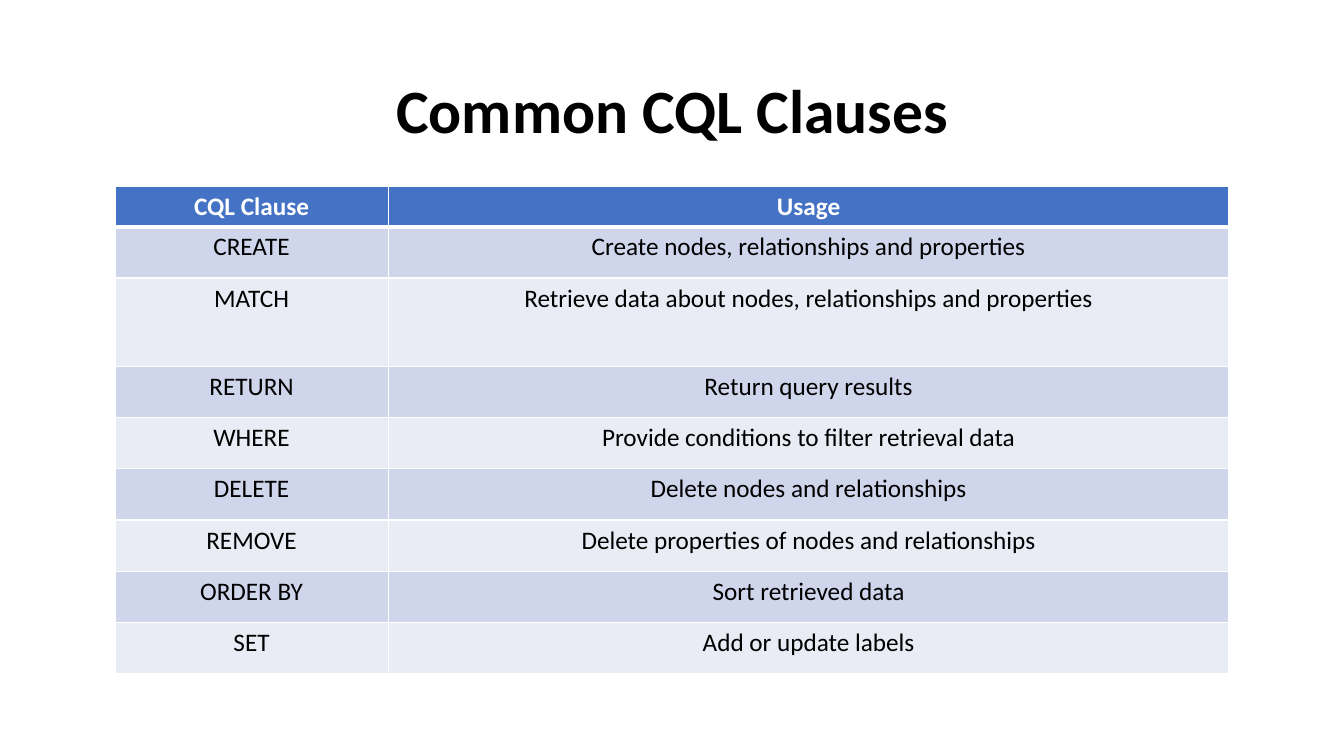
import pptx
import pptx.util
import pptx.dml.color
import pptx.enum.text
import pptx.oxml.ns
from lxml import etree
from pptx.util import Inches

FONT = "Calibri"
COLORS = {
    "text": "000000",
    "header": "4472C4",
    "odd": "CFD5EA",
    "even": "E9EBF5",
    "white": "FFFFFF",
}
CLAUSES = [
    ("CQL Clause", "Usage"),
    ("CREATE", "Create nodes, relationships and properties"),
    ("MATCH", "Retrieve data about nodes, relationships and properties"),
    ("RETURN", "Return query results"),
    ("WHERE", "Provide conditions to filter retrieval data"),
    ("DELETE", "Delete nodes and relationships"),
    ("REMOVE", "Delete properties of nodes and relationships"),
    ("ORDER BY", "Sort retrieved data"),
    ("SET", "Add or update labels"),
]
CLAUSE_WIDTH = 2.71
HEADER_HEIGHT = 0.4
MATCH_HEIGHT = 0.88


def rgb(name):
    return pptx.dml.color.RGBColor.from_string(COLORS[name])


def write(tf, text, size, color, bold):
    """Put one centred run into the first paragraph of a text frame."""
    p = tf.paragraphs[0]
    p.alignment = pptx.enum.text.PP_ALIGN.CENTER
    r = p.add_run()
    r.text = text
    r.font.name = FONT
    r.font.size = pptx.util.Pt(size)
    r.font.bold = bold
    r.font.color.rgb = rgb(color)
    return p


def add_borders(cell, bottom=1, top=1):
    """Draw white cell borders; widths are in points."""
    qn = pptx.oxml.ns.qn
    tc_pr = cell._tc.get_or_add_tcPr()
    for side, width in (("L", 1), ("R", 1), ("T", top), ("B", bottom)):
        ln = etree.SubElement(tc_pr, qn("a:ln" + side), w=str(pptx.util.Pt(width)))
        fill = etree.SubElement(ln, qn("a:solidFill"))
        etree.SubElement(fill, qn("a:srgbClr"), val=COLORS["white"])


def add_title(s, left, top, width, height):
    sp = s.shapes.add_textbox(Inches(left), Inches(top), Inches(width), Inches(height))
    tf = sp.text_frame
    tf.word_wrap = True
    tf.vertical_anchor = pptx.enum.text.MSO_ANCHOR.MIDDLE
    p = write(tf, "Common CQL Clauses", 44, "text", True)
    p.line_spacing = 0.9


def add_clause_table(s, left, top, width, height):
    table = s.shapes.add_table(len(CLAUSES), 2, Inches(left), Inches(top),
                               Inches(width), Inches(height)).table
    table.columns[0].width = Inches(CLAUSE_WIDTH)
    table.columns[1].width = Inches(width - CLAUSE_WIDTH)
    special = {"CQL Clause": HEADER_HEIGHT, "MATCH": MATCH_HEIGHT}
    plain = (height - sum(special.values())) / (len(CLAUSES) - len(special))

    for i, row in enumerate(CLAUSES):
        table.rows[i].height = Inches(special.get(row[0], plain))
        header = i == 0
        fill = "header" if header else "odd" if i % 2 else "even"
        for j, text in enumerate(row):
            cell = table.cell(i, j)
            add_borders(cell, bottom=3 if header else 1, top=3 if i == 1 else 1)
            cell.fill.solid()
            cell.fill.fore_color.rgb = rgb(fill)
            write(cell.text_frame, text, 18, "white" if header else "text", header)


def main():
    prs = pptx.Presentation()
    prs.slide_width, prs.slide_height = Inches(13.33), Inches(7.5)
    s = prs.slides.add_slide(prs.slide_layouts[6])
    add_title(s, 0.92, 0.4, 11.5, 1.45)
    add_clause_table(s, 1.14, 1.85, 11.05, 4.83)
    prs.save("out.pptx")


if __name__ == "__main__":
    main()
